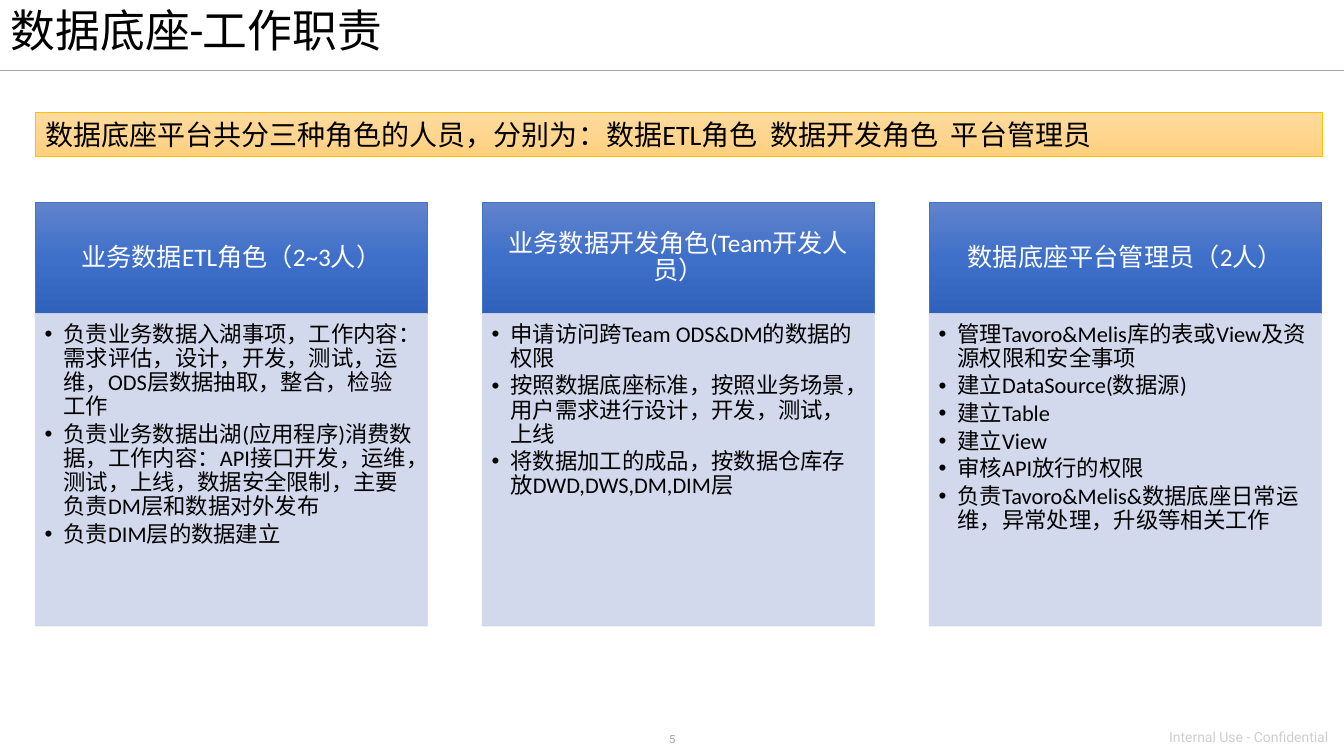
from copy import deepcopy

from lxml.etree import SubElement
from pptx import Presentation
from pptx.dml.color import RGBColor
from pptx.enum.shapes import MSO_CONNECTOR, MSO_SHAPE
from pptx.enum.text import MSO_ANCHOR as Anchor, PP_ALIGN as Align
from pptx.oxml.ns import qn
from pptx.util import Pt

BLACK = RGBColor(0x00, 0x00, 0x00)
WHITE = RGBColor(0xFF, 0xFF, 0xFF)
GREY = RGBColor(0xA6, 0xA6, 0xA6)
PALE_GREY = RGBColor(0xD0, 0xCE, 0xCE)
BLUE = RGBColor(0x44, 0x72, 0xC4)
PALE_BLUE = RGBColor(0xCF, 0xD5, 0xEA)
GOLD = RGBColor(0xFF, 0xC0, 0x00)
BLUE_SHADES = [RGBColor(0x61, 0x83, 0xCB), RGBColor(0x3E, 0x70, 0xCA), RGBColor(0x30, 0x62, 0xBB)]
GOLD_SHADES = [RGBColor(0xFF, 0xDB, 0x9E), RGBColor(0xFF, 0xD5, 0x90), RGBColor(0xFF, 0xD0, 0x7C)]

SLIDE_WIDTH, SLIDE_HEIGHT = 960, 540
LEFT, COLUMN_WIDTH, COLUMN_PITCH = 25.2, 280.1, 319.3
HEAD_TOP, HEAD_HEIGHT, BODY_HEIGHT = 144.8, 79.2, 223.2
DEFAULT_INSETS = (7.2, 3.6, 7.2, 3.6)
HEAD_INSETS = (10, 5.8, 10, 5.8)
BODY_INSETS = (6.7, 6.7, 8.9, 10)

ROLES = [
    ("业务数据ETL角色（2~3人）", [
        "负责业务数据入湖事项，工作内容：需求评估，设计，开发，测试，运维，ODS层数据抽取，整合，检验工作",
        "负责业务数据出湖(应用程序)消费数据，工作内容：API接口开发，运维，测试，上线，数据安全限制，主要负责DM层和数据对外发布",
        "负责DIM层的数据建立",
    ]),
    ("业务数据开发角色(Team开发人员）", [
        "申请访问跨Team ODS&DM的数据的权限",
        "按照数据底座标准，按照业务场景，用户需求进行设计，开发，测试，上线",
        "将数据加工的成品，按数据仓库存放DWD,DWS,DM,DIM层",
    ]),
    ("数据底座平台管理员（2人）", [
        "管理Tavoro&Melis库的表或View及资源权限和安全事项",
        "建立DataSource(数据源)",
        "建立Table",
        "建立View",
        "审核API放行的权限",
        "负责Tavoro&Melis&数据底座日常运维，异常处理，升级等相关工作",
    ]),
]


def set_frame(box, anchor, insets):
    frame = box.text_frame
    frame.word_wrap = True
    frame.vertical_anchor = anchor
    (frame.margin_left, frame.margin_top,
     frame.margin_right, frame.margin_bottom) = map(Pt, insets)


def write(para, text, size, color, font="Calibri", align=Align.LEFT, spacing=1.0):
    para.alignment = align
    para.line_spacing = spacing
    span = para.add_run()
    span.text = text
    span.font.size = Pt(size)
    span.font.name = font
    span.font.color.rgb = color


def add_label(page, place, text, size, color, align=Align.LEFT, anchor=Anchor.TOP, spacing=1.0):
    box = page.shapes.add_textbox(*map(Pt, place))
    set_frame(box, anchor, DEFAULT_INSETS)
    write(box.text_frame.paragraphs[0], text, size, color, "Roboto", align, spacing)


def add_panel(page, place, line_color, anchor=Anchor.MIDDLE, insets=DEFAULT_INSETS):
    box = page.shapes.add_shape(MSO_SHAPE.RECTANGLE, *map(Pt, place))
    box.shadow.inherit = False
    box.line.color.rgb = line_color
    box.line.width = Pt(0.5)
    set_frame(box, anchor, insets)
    return box


def shade(box, colors):
    """Fill the box from top to bottom with evenly spaced colours."""
    box.fill.gradient()
    box.fill.gradient_angle = 270
    stop_list = box._element.spPr.find(".//" + qn("a:gsLst"))
    stop_list.append(deepcopy(stop_list[0]))
    for index, (stop, color) in enumerate(zip(box.fill.gradient_stops, colors)):
        stop.position = index / (len(colors) - 1)
        stop.color.rgb = color


def fill_translucent(box, color, percent):
    """Fill the box and give fill and outline the same opacity."""
    box.fill.solid()
    box.fill.fore_color.rgb = color
    for tone in box._element.spPr.iter(qn("a:srgbClr")):
        SubElement(tone, qn("a:alpha"), val=str(percent * 1000))


def add_bullet(para):
    properties = para._p.get_or_add_pPr()
    properties.set("marL", str(Pt(13.5)))
    properties.set("indent", str(-Pt(13.5)))
    SubElement(properties, qn("a:buFont"), typeface="Arial")
    SubElement(properties, qn("a:buChar"), char="•")


def add_role(page, left, heading, duties):
    head = add_panel(page, (left, HEAD_TOP, COLUMN_WIDTH, HEAD_HEIGHT), BLUE, insets=HEAD_INSETS)
    shade(head, BLUE_SHADES)
    write(head.text_frame.paragraphs[0], heading, 18, WHITE, align=Align.CENTER, spacing=0.9)

    body = add_panel(page, (left, HEAD_TOP + HEAD_HEIGHT, COLUMN_WIDTH, BODY_HEIGHT),
                     PALE_BLUE, Anchor.TOP, BODY_INSETS)
    fill_translucent(body, PALE_BLUE, 90)
    frame = body.text_frame
    for index, duty in enumerate(duties):
        para = frame.add_paragraph() if index else frame.paragraphs[0]
        write(para, duty, 16, BLACK, spacing=0.9)
        para.space_after = Pt(2.4)
        add_bullet(para)


def add_rule(page, top):
    rule = page.shapes.add_connector(MSO_CONNECTOR.STRAIGHT, 0, Pt(top), Pt(SLIDE_WIDTH), Pt(top))
    rule.line.color.rgb = GREY
    rule.line.width = Pt(1)
    SubElement(rule._element.spPr, qn("a:effectLst"))


def main():
    deck = Presentation()
    deck.slide_width, deck.slide_height = Pt(SLIDE_WIDTH), Pt(SLIDE_HEIGHT)
    page = deck.slides.add_slide(deck.slide_layouts[6])

    add_rule(page, 50.4)
    add_label(page, (416.9, 519.8, 126.7, 17.3), "5", 8, GREY, Align.CENTER)
    add_label(page, (828, 517, 132, 19.4), "Internal Use - Confidential", 10, PALE_GREY)
    add_label(page, (0.7, -0.7, 758, 49), "数据底座-工作职责", 32, BLACK,
              anchor=Anchor.MIDDLE, spacing=0.9)

    for index, (heading, duties) in enumerate(ROLES):
        add_role(page, LEFT + index * COLUMN_PITCH, heading, duties)

    banner = add_panel(page, (LEFT, 80.4, 919.4, 31.5), GOLD, Anchor.TOP)
    shade(banner, GOLD_SHADES)
    write(banner.text_frame.paragraphs[0],
          "数据底座平台共分三种角色的人员，分别为：数据ETL角色  数据开发角色  平台管理员", 20, BLACK)

    deck.save("out.pptx")


if __name__ == "__main__":
    main()
